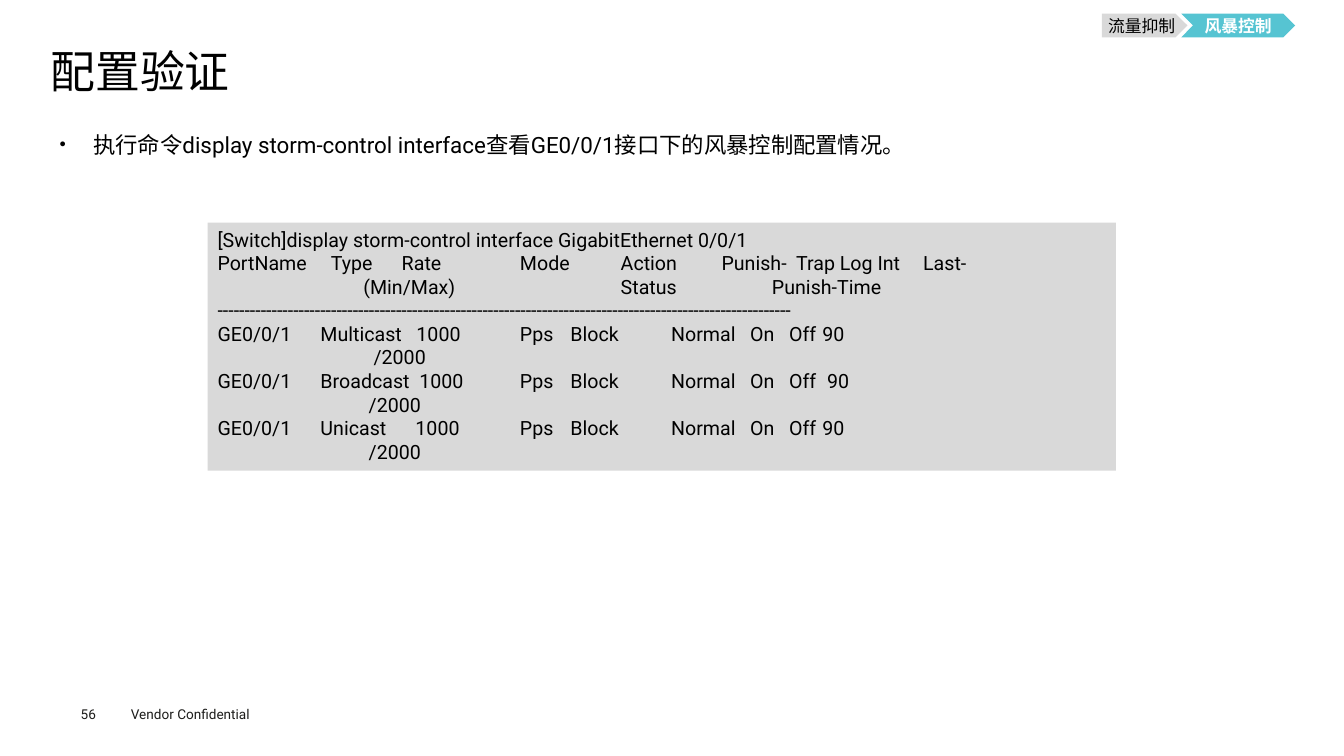
from lxml import etree
from pptx import Presentation
from pptx.dml.color import RGBColor
from pptx.enum import shapes, text
from pptx.oxml.ns import qn
from pptx.util import Pt

FONT = "Roboto"
BLACK, WHITE, GREY, TEAL, DARK = "000000", "FFFFFF", "D9D9D9", "56C4D2", "1D1D1B"
LEFT, WIDE = 36, 889.2

TITLE = "配置验证"
POINT = "执行命令display storm-control interface查看GE0/0/1接口下的风暴控制配置情况。"
CONSOLE = [
    "[Switch]display storm-control interface GigabitEthernet 0/0/1",
    "PortName     Type      Rate      \tMode \tAction   \tPunish-  Trap Log Int \tLast-",
    "                              (Min/Max)               \t \tStatus                \tPunish-Time",
    "-" * 106,
    "GE0/0/1      Multicast   1000      \tPps  \tBlock    \tNormal   On   Off \t90",
    "                      \t /2000",
    "GE0/0/1      Broadcast  1000      \tPps  \tBlock    \tNormal   On   Off\t 90",
    "                       \t/2000",
    "GE0/0/1      Unicast      1000      \tPps  \tBlock    \tNormal   On   Off \t90",
    "                     \t/2000",
]
# label, preset, left, width, fill, ink, bold
STEPS = [
    ("流量抑制", shapes.MSO_SHAPE.PENTAGON, 787, 61.2, GREY, BLACK, False),
    ("风暴控制", shapes.MSO_SHAPE.CHEVRON, 843.8, 81.4, TEAL, WHITE, True),
]
# label, box, left inset, top inset
FOOTER = [
    ("Vendor Confidential", (86.4, 500.4, 115.2, 19.4), 7.2, 3.6),
    ("56", (57.6, 504, 39.6, 11.5), 0, 0),
]


def color(code):
    return RGBColor.from_string(code)


def place(shape, box):
    shape.left, shape.top, shape.width, shape.height = map(Pt, box)


def write(shape, lines, size, ink, side=7.2, edge=3.6, align=text.PP_ALIGN.LEFT,
          anchor=text.MSO_ANCHOR.TOP, bold=False, wrap=True):
    """Fill the shape with one paragraph per line and return the paragraphs."""
    frame = shape.text_frame
    frame.text = "\n".join(lines)
    frame.word_wrap = wrap
    frame.auto_size = text.MSO_AUTO_SIZE.NONE
    frame.vertical_anchor = anchor
    frame.margin_left = frame.margin_right = Pt(side)
    frame.margin_top = frame.margin_bottom = Pt(edge)
    for para in frame.paragraphs:
        para.alignment = align
        para.space_before = Pt(0)
        font = para.font
        font.name, font.size, font.bold = FONT, Pt(size), bold
        font.color.rgb = color(ink)
    return frame.paragraphs


def bullet(para, char, percent, indent):
    props = para._p.get_or_add_pPr()
    props.set("marL", str(Pt(indent)))
    props.set("indent", str(-Pt(indent)))
    mark = props.find(qn("a:defRPr"))
    for tag, key, value in (("a:buSzPct", "val", str(percent * 1000)),
                            ("a:buFont", "typeface", "Arial"),
                            ("a:buChar", "char", char)):
        node = etree.Element(qn(tag))
        node.set(key, value)
        mark.addprevious(node)


def block(slide, kind, box, fill):
    shape = slide.shapes.add_shape(kind, *map(Pt, box))
    shape.shadow.inherit = False
    shape.fill.solid()
    shape.fill.fore_color.rgb = color(fill)
    shape.line.fill.background()
    return shape


def main():
    deck = Presentation()
    deck.slide_width, deck.slide_height = Pt(960), Pt(540)
    slide = deck.slides.add_slide(deck.slide_layouts[1])

    for label, box, side, edge in FOOTER:
        note = slide.shapes.add_textbox(*map(Pt, box))
        write(note, [label], 9.7, DARK, side, edge, wrap=False)

    title, body = slide.placeholders
    place(title, (LEFT, 35.3, WIDE, 38.2))
    write(title, [TITLE], 32, BLACK, 0, 0)[0].line_spacing = 0.9

    place(body, (LEFT, 82.8, WIDE, 384.5))
    point = write(body, [POINT], 16, BLACK, 6.5, 2.9, text.PP_ALIGN.JUSTIFY)[0]
    point.line_spacing = 1.4
    bullet(point, "●", 50, 24)

    panel = block(slide, shapes.MSO_SHAPE.RECTANGLE, (148.3, 159.1, 648.7, 177.1), GREY)
    write(panel, CONSOLE, 14, BLACK)

    for label, kind, left, width, fill, ink, bold in STEPS:
        step = block(slide, kind, (left, 9.8, width, 16.8), fill)
        write(step, [label], 12, ink, 0, 0, text.PP_ALIGN.CENTER,
              text.MSO_ANCHOR.MIDDLE, bold)

    deck.save("out.pptx")


if __name__ == "__main__":
    main()
